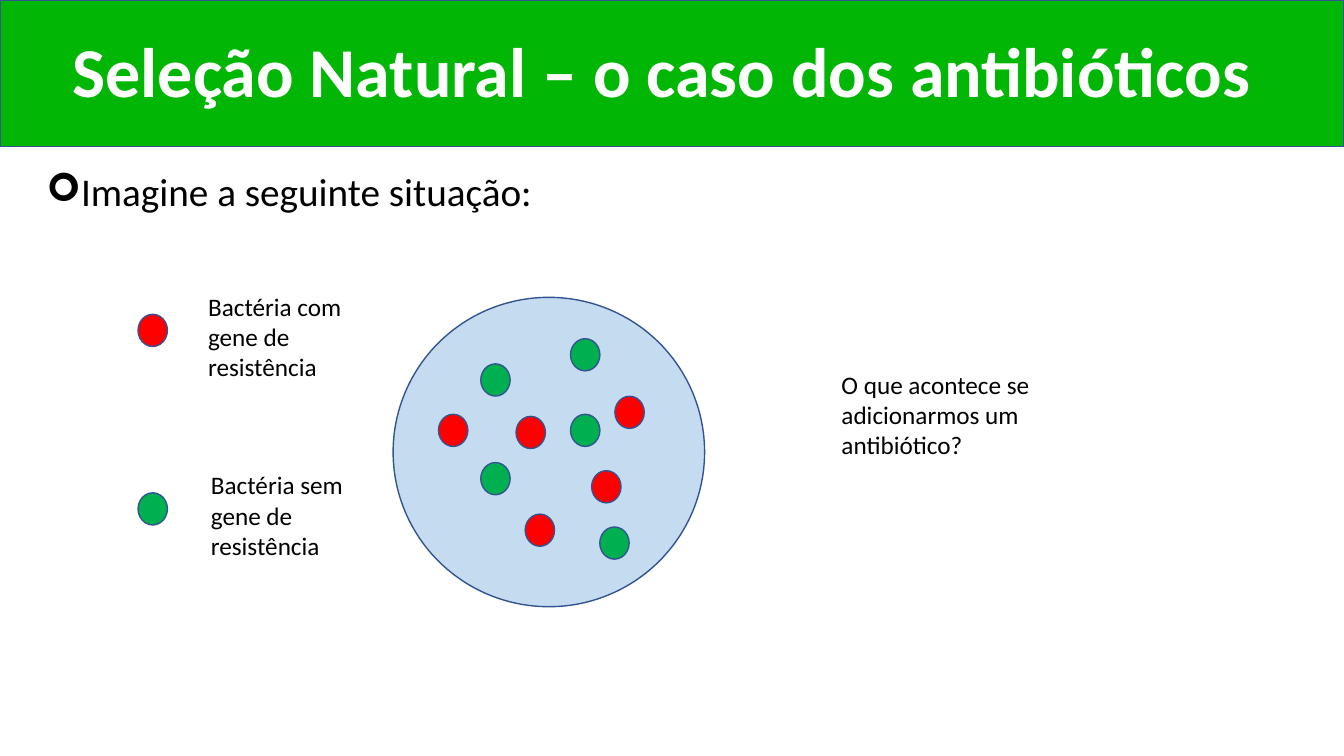
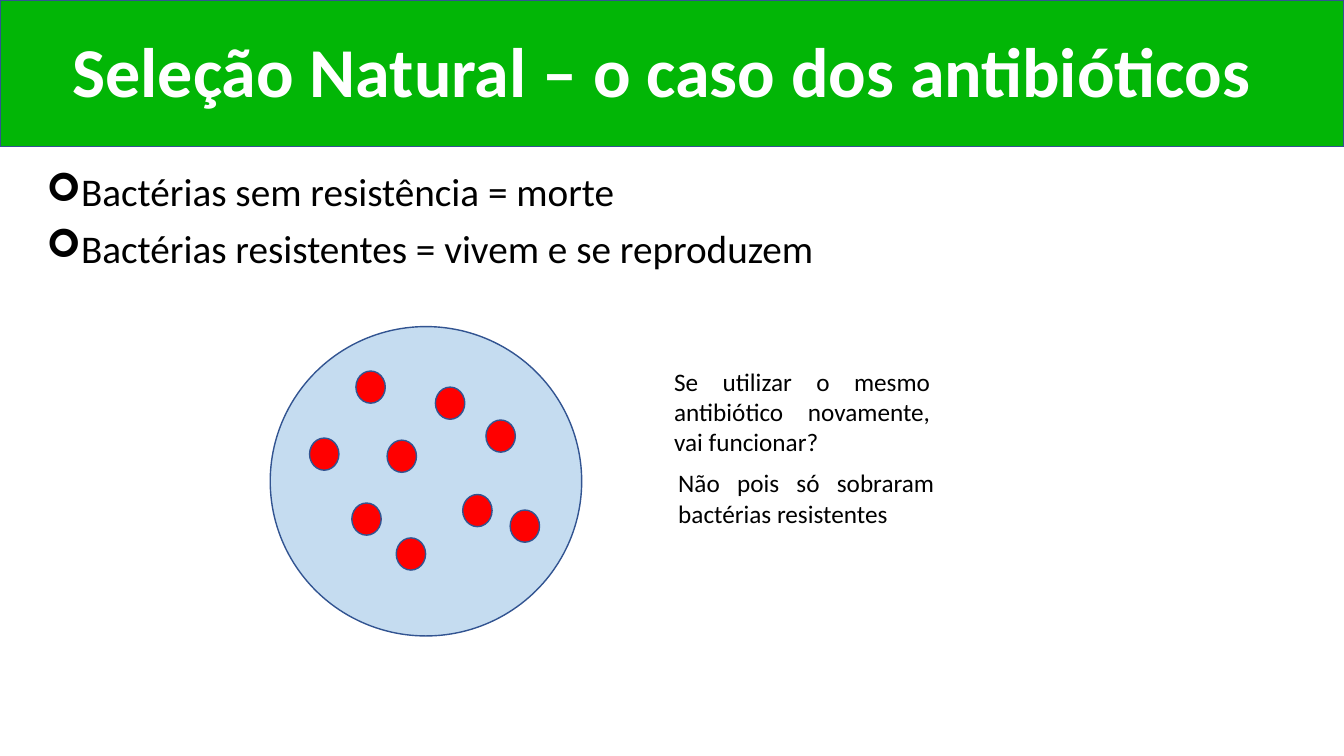
from lxml.etree import SubElement
from pptx import Presentation
from pptx.dml.color import RGBColor
from pptx.enum.shapes import MSO_SHAPE
from pptx.enum.text import MSO_ANCHOR, MSO_AUTO_SIZE, PP_ALIGN
from pptx.oxml.ns import qn
from pptx.util import Pt

WIDE, HIGH = 960, 540
BAND, EDGE, DISH = "02B606", "325491", "5B9BD5"
RED, GREEN, BLACK, WHITE = "FF0000", "00B050", "000000", "FFFFFF"
TITLE = "Seleção Natural – o caso dos antibióticos"
DOT = (21, 23)
PLATE = (222.5, 221)

REDS = [(32.4, 83.5), (87.8, 85), (94.3, 154.8), (158.4, 70.6), (141.8, 123.8)]
GREENS = [(62.6, 47.5), (126.7, 83.5), (62.6, 118), (126.7, 29.5), (147.6, 164)]
ALIVE = [(x - 4.3, y - 3.9) for x, y in REDS]
BORN = [(118, 43.2), (61.2, 31.7), (58.3, 126), (171.4, 131)]


def paint(item, tint):
    item.rgb = RGBColor.from_string(tint)


def write(frame, text, size=18, tint=BLACK, bold=False, align=PP_ALIGN.LEFT,
          anchor=MSO_ANCHOR.TOP, lead=None, gap=0, mark=None):
    frame.word_wrap = True
    frame.auto_size = MSO_AUTO_SIZE.NONE
    frame.vertical_anchor = anchor
    for i, line in enumerate(text.split("\n")):
        par = frame.add_paragraph() if i else frame.paragraphs[0]
        par.text = line
        if mark:
            props = par._p.get_or_add_pPr()
            props.set("marL", str(Pt(18)))
            props.set("indent", str(-Pt(18)))
            SubElement(props, qn("a:buFont")).set("typeface", "Wingdings")
            SubElement(props, qn("a:buChar")).set("char", mark)
        par.alignment = align
        par.line_spacing = lead
        if i:
            par.space_before = Pt(gap)
        font = par.runs[0].font
        font.name, font.size, font.bold = "Calibri", Pt(size), bold
        paint(font.color, tint)


def label(slide, box, text, **style):
    note = slide.shapes.add_textbox(*map(Pt, box))
    write(note.text_frame, text, **style)


def draw(slide, kind, box, tint, alpha=None):
    shape = slide.shapes.add_shape(kind, *map(Pt, box))
    shape.shadow.inherit = False
    shape.fill.solid()
    paint(shape.fill.fore_color, tint)
    paint(shape.line.color, EDGE)
    shape.line.width = Pt(1)
    if alpha:
        clr = shape.element.spPr.find(qn("a:solidFill"))[0]
        SubElement(clr, qn("a:alpha")).set("val", str(alpha * 1000))
    return shape


def dots(slide, left, top, spots, tint):
    for x, y in spots:
        draw(slide, MSO_SHAPE.OVAL, (left + x, top + y, *DOT), tint)


def dish(slide, left, top, groups):
    draw(slide, MSO_SHAPE.OVAL, (left, top, *PLATE), DISH, alpha=35)
    for spots, tint in groups:
        dots(slide, left, top, spots, tint)


def legend(slide, left, top, tint, text, shift=0):
    dots(slide, left, top, [(0, 20)], tint)
    label(slide, (left + 43 + shift, top, 122.4, 73), text)


def start(deck, points):
    slide = deck.slides.add_slide(deck.slide_layouts[5])
    title = slide.shapes.title
    title.left, title.top, title.width, title.height = map(Pt, (26, 1.5, 894, 104.5))
    write(title.text_frame, TITLE, size=50, tint=WHITE, bold=True,
          align=PP_ALIGN.CENTER, anchor=MSO_ANCHOR.MIDDLE, lead=0.9)
    band = draw(slide, MSO_SHAPE.RECTANGLE, (0, 0, WIDE, 104.5), BAND)
    title.element.addprevious(band.element)
    label(slide, (26, 120, 880, 343), points, size=28, lead=0.9, gap=10, mark="➢")
    return slide


def before(deck):
    slide = start(deck, "Imagine a seguinte situação:")
    dish(slide, 280.8, 212.4, [(GREENS, GREEN), (REDS, RED)])
    legend(slide, 98.6, 204.5, RED, "Bactéria com gene de resistência")
    legend(slide, 98.6, 332, GREEN, "Bactéria sem gene de resistência", shift=2)
    label(slide, (594, 260, 152, 73), "O que acontece se adicionarmos um antibiótico?")


def after(deck):
    slide = start(deck, "Bactérias sem resistência = morte\n"
                        "Bactérias resistentes = vivem e se reproduzem")
    dish(slide, 193, 233.3, [(ALIVE + BORN, RED)])
    label(slide, (474.5, 258, 197, 73),
          "Se utilizar o mesmo antibiótico novamente, vai funcionar?",
          align=PP_ALIGN.JUSTIFY)
    label(slide, (477.4, 330.5, 197, 51),
          "Não pois só sobraram bactérias resistentes", align=PP_ALIGN.JUSTIFY)


def main():
    deck = Presentation()
    deck.slide_width, deck.slide_height = Pt(WIDE), Pt(HIGH)
    before(deck)
    after(deck)
    deck.save("out.pptx")


if __name__ == "__main__":
    main()
